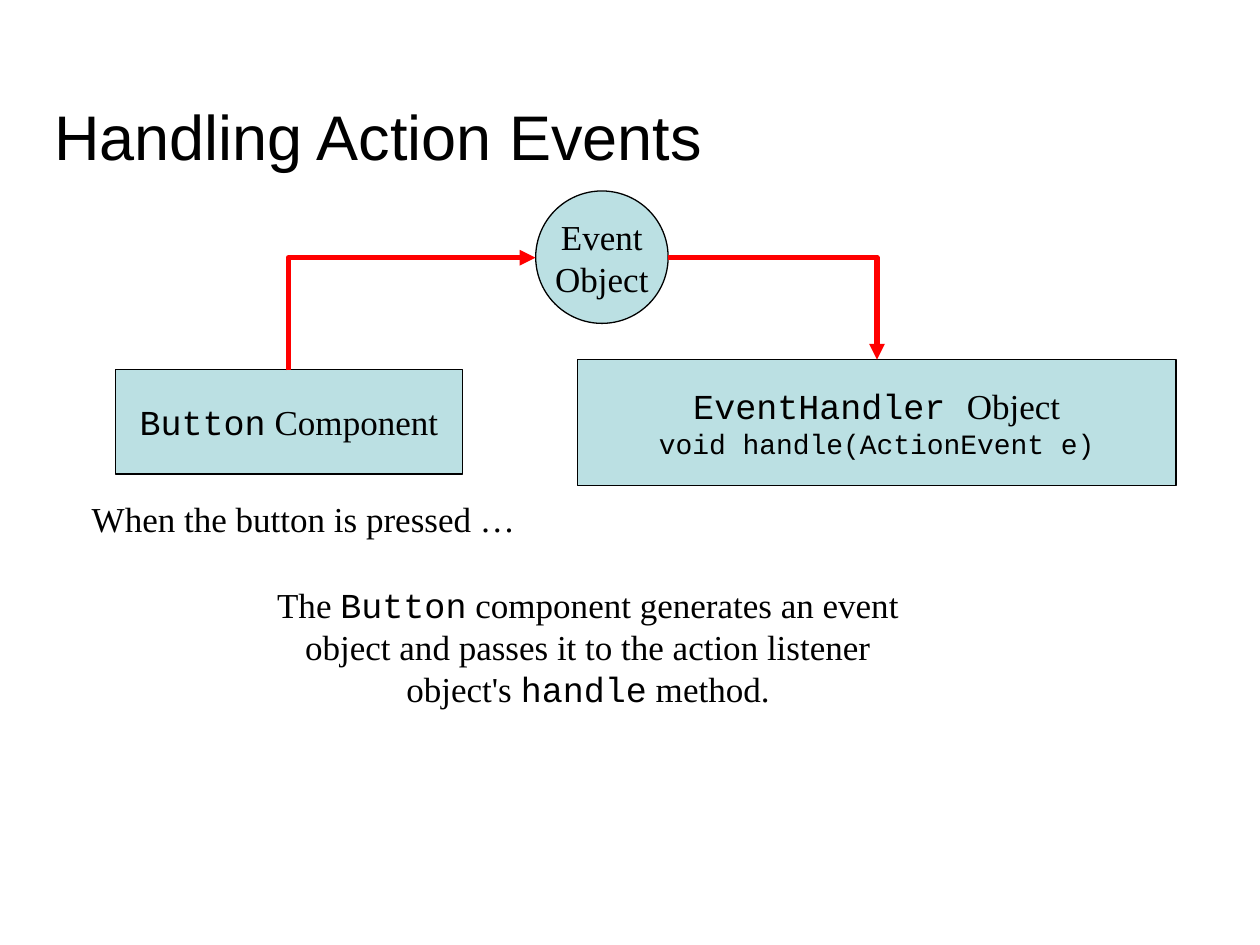
from dataclasses import dataclass

import pptx
import pptx.dml.color
import pptx.enum.shapes
import pptx.enum.text
import pptx.oxml
import pptx.oxml.ns
import pptx.slide
import pptx.text.text
import pptx.util
from pptx.util import Cm

Shape = pptx.enum.shapes.MSO_SHAPE
Align = pptx.enum.text.PP_ALIGN
Anchor = pptx.enum.text.MSO_ANCHOR
Fit = pptx.enum.text.MSO_AUTO_SIZE

BLACK = pptx.dml.color.RGBColor(0x00, 0x00, 0x00)
RED = pptx.dml.color.RGBColor(0xFF, 0x00, 0x00)
TEAL = pptx.dml.color.RGBColor(0xBB, 0xE0, 0xE3)
SANS = "Arial"
CODE = "Courier New"
SERIF = "Times New Roman"


@dataclass(frozen=True)
class Place:
    left: float
    top: float
    width: float
    height: float

    def cms(self) -> list[pptx.util.Length]:
        return [Cm(self.left), Cm(self.top), Cm(self.width), Cm(self.height)]


@dataclass(frozen=True)
class Span:
    text: str
    face: str = SERIF
    size: int = 20


@dataclass(frozen=True)
class Node:
    kind: Shape
    place: Place
    lines: list[list[Span]]


@dataclass(frozen=True)
class Note:
    place: Place
    spans: list[Span]


@dataclass(frozen=True)
class Bend:
    place: Place
    turn: int = 0


TITLE = Place(0.84, 0.84, 23.93, 2.77)

NODES = [
    Node(Shape.RECTANGLE, Place(2.33, 7.45, 6.99, 2.11),
         [[Span("Button", CODE), Span(" Component")]]),
    Node(Shape.RECTANGLE, Place(11.64, 7.25, 12.07, 2.54),
         [[Span("EventHandler ", CODE), Span("Object")],
          [Span("void handle(ActionEvent e)", CODE, 16)]]),
    Node(Shape.OVAL, Place(10.8, 3.85, 2.67, 2.67),
         [[Span("Event")], [Span("Object")]]),
]

BENDS = [
    Bend(Place(7.17, 3.84, 2.27, 4.98), 270),
    Bend(Place(13.47, 5.19, 4.21, 2.06)),
]

NOTES = [
    Note(Place(1.6, 9.91, 9.04, 1.09), [Span("When the button is pressed …")]),
    Note(Place(5.08, 11.64, 13.55, 2.79),
         [Span("The "), Span("Button", CODE),
          Span(" component generates an event object and passes it"
               " to the action listener object's "),
          Span("handle", CODE), Span(" method.")]),
]


def style(run: pptx.text.text._Run, face: str, size: int) -> None:
    run.font.name = face
    run.font.size = pptx.util.Pt(size)
    run.font.color.rgb = BLACK


def write(frame: pptx.text.text.TextFrame, lines: list[list[Span]]) -> None:
    for index, spans in enumerate(lines):
        line = frame.add_paragraph() if index else frame.paragraphs[0]
        line.alignment = Align.CENTER
        for span in spans:
            run = line.add_run()
            run.text = span.text
            style(run, span.face, span.size)


def draw_title(slide: pptx.slide.Slide, text: str) -> None:
    title = slide.shapes.title
    title.left, title.top, title.width, title.height = TITLE.cms()
    frame = title.text_frame
    frame.text = text
    frame.vertical_anchor = Anchor.BOTTOM
    frame.paragraphs[0].alignment = Align.LEFT
    style(frame.paragraphs[0].runs[0], SANS, 36)


def draw_node(slide: pptx.slide.Slide, node: Node) -> None:
    shape = slide.shapes.add_shape(node.kind, *node.place.cms())
    shape.shadow.inherit = False
    shape.fill.solid()
    shape.fill.fore_color.rgb = TEAL
    shape.line.color.rgb = BLACK
    shape.line.width = pptx.util.Pt(0.75)
    shape.text_frame.word_wrap = False
    shape.text_frame.vertical_anchor = Anchor.MIDDLE
    write(shape.text_frame, node.lines)


def draw_note(slide: pptx.slide.Slide, note: Note) -> None:
    frame = slide.shapes.add_textbox(*note.place.cms()).text_frame
    frame.word_wrap = True
    frame.auto_size = Fit.SHAPE_TO_FIT_TEXT
    write(frame, [note.spans])


def draw_bend(slide: pptx.slide.Slide, bend: Bend) -> None:
    left, top, width, height = bend.place.cms()
    link = slide.shapes.add_connector(
        pptx.enum.shapes.MSO_CONNECTOR.ELBOW,
        left, top, left + width, top + height)
    link.line.color.rgb = RED
    link.line.width = pptx.util.Pt(3)
    name = pptx.oxml.ns.qn
    props = link.element.spPr
    props.find(name("a:prstGeom")).set("prst", "bentConnector2")
    if bend.turn:
        props.find(name("a:xfrm")).set("rot", str(bend.turn * 60000))
    tip = pptx.oxml.parse_xml(
        f'<a:tailEnd {pptx.oxml.ns.nsdecls("a")} type="triangle"/>')
    props.find(name("a:ln")).append(tip)
    props.append(pptx.oxml.parse_xml(
        f'<a:effectLst {pptx.oxml.ns.nsdecls("a")}/>'))


def main() -> None:
    deck = pptx.Presentation()
    deck.slide_width, deck.slide_height = Cm(25.4), Cm(19.05)
    slide = deck.slides.add_slide(deck.slide_layouts[5])
    draw_title(slide, "Handling Action Events")
    for node in NODES:
        draw_node(slide, node)
    for bend in BENDS:
        draw_bend(slide, bend)
    for note in NOTES:
        draw_note(slide, note)
    deck.save("out.pptx")


if __name__ == "__main__":
    main()
